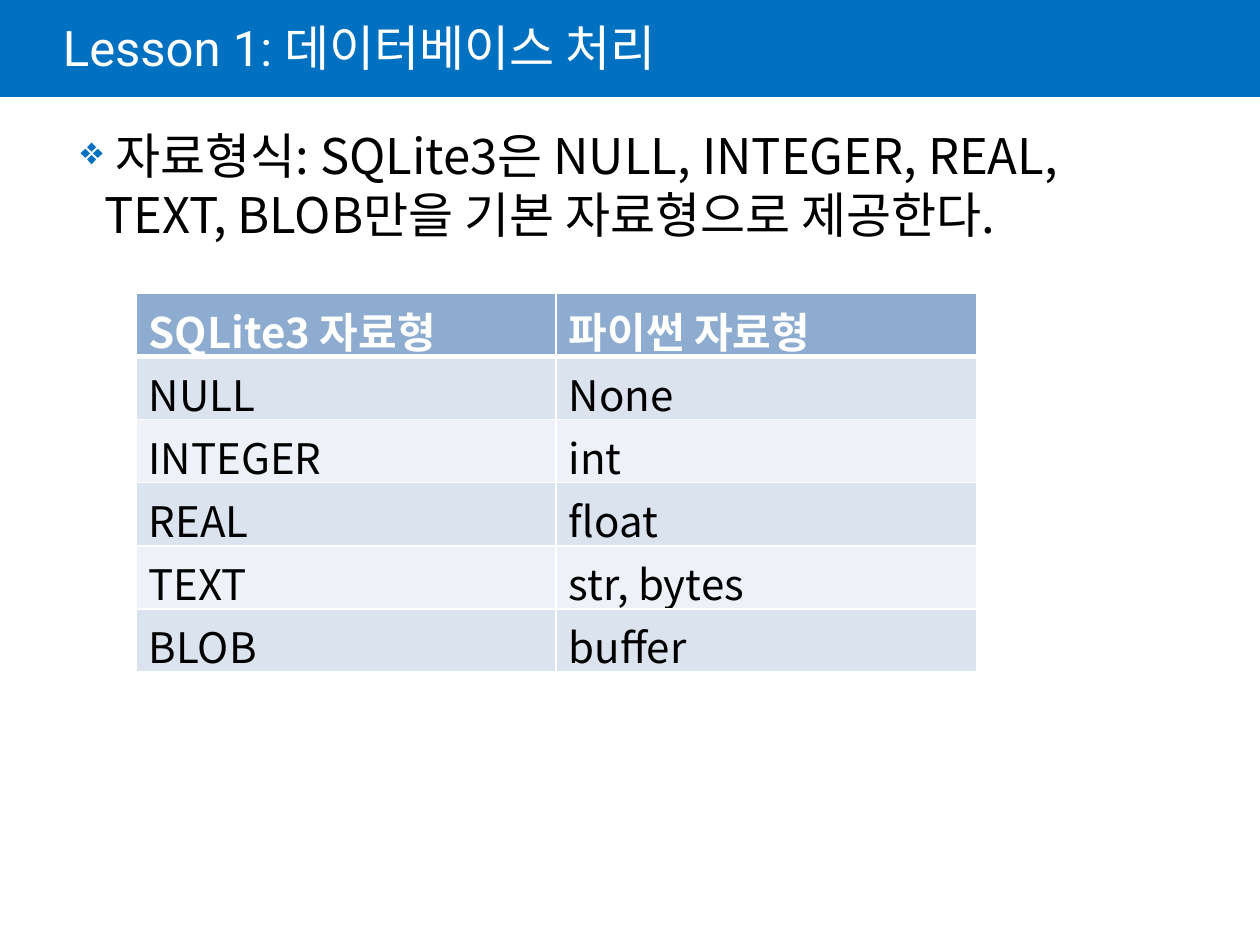
from dataclasses import dataclass

from lxml import etree
from pptx import Presentation
from pptx.dml.color import RGBColor
from pptx.enum.shapes import MSO_SHAPE
from pptx.enum.text import MSO_ANCHOR
from pptx.oxml.ns import qn
from pptx.util import Inches, Pt

RECT = MSO_SHAPE.RECTANGLE
MIDDLE = MSO_ANCHOR.MIDDLE


@dataclass(frozen=True)
class Theme:
    title_font: str = "Roboto"
    body_font: str = "Noto Sans CJK KR"
    text_size: int = 28
    table_size: int = 24
    accent: str = "0070C0"
    white: str = "FFFFFF"
    black: str = "000000"
    header_fill: str = "8DACD0"
    bands: tuple = ("DBE3EE", "EEF1F7")


THEME = Theme()

TYPE_ROWS = [
    ("SQLite3 자료형", "파이썬 자료형"),
    ("NULL", "None"),
    ("INTEGER", "int"),
    ("REAL", "float"),
    ("TEXT", "str, bytes"),
    ("BLOB", "buffer"),
]


def rgb(color):
    return RGBColor.from_string(color)


def add_run(p, text, font, size, color, bold=False):
    r = p.add_run()
    r.text = text
    r.font.name = font
    r.font.size = Pt(size)
    r.font.bold = bold
    r.font.color.rgb = rgb(color)
    # Hangul takes the East Asian typeface
    ea = etree.SubElement(r.font._element, qn("a:ea"))
    ea.set("typeface", THEME.body_font)


def add_bar(s, x, y, w, h):
    sp = s.shapes.add_shape(RECT, Inches(x), Inches(y), Inches(w), Inches(h))
    sp.shadow.inherit = False
    sp.fill.solid()
    sp.fill.fore_color.rgb = rgb(THEME.accent)
    sp.line.fill.background()


def add_text_box(s, x, y, w, h, insets):
    sp = s.shapes.add_textbox(Inches(x), Inches(y), Inches(w), Inches(h))
    tf = sp.text_frame
    tf.word_wrap = True
    tf.margin_left, tf.margin_top, tf.margin_right, tf.margin_bottom = map(Inches, insets)
    return tf


def add_bullet(p, char, color, percent, left, hanging):
    pPr = p._p.get_or_add_pPr()
    pPr.set("marL", str(Inches(left)))
    pPr.set("indent", str(-Inches(hanging)))
    clr = etree.SubElement(pPr, qn("a:buClr"))
    etree.SubElement(clr, qn("a:srgbClr")).set("val", color)
    etree.SubElement(pPr, qn("a:buSzPct")).set("val", str(percent * 1000))
    etree.SubElement(pPr, qn("a:buChar")).set("char", char)


def set_border(cell, side, width):
    ln = etree.SubElement(cell._tc.get_or_add_tcPr(), qn(f"a:ln{side}"))
    ln.set("w", str(Pt(width)))
    fill = etree.SubElement(ln, qn("a:solidFill"))
    etree.SubElement(fill, qn("a:srgbClr")).set("val", THEME.white)


def fill_cell(cell, text, row):
    header = row == 0
    # Header rule is thicker, on both cells that share it
    widths = {"L": 1, "R": 1, "T": 3 if row == 1 else 1, "B": 3 if header else 1}
    for side, width in widths.items():
        set_border(cell, side, width)
    cell.fill.solid()
    cell.fill.fore_color.rgb = rgb(THEME.header_fill if header else THEME.bands[(row - 1) % 2])
    add_run(cell.text_frame.paragraphs[0], text, THEME.body_font, THEME.table_size,
            THEME.white if header else THEME.black, bold=header)


def add_type_table(s, rows, x, y, w, h):
    table = s.shapes.add_table(len(rows), len(rows[0]), Inches(x), Inches(y),
                               Inches(w), Inches(h)).table
    for i, row in enumerate(rows):
        for j, text in enumerate(row):
            fill_cell(table.cell(i, j), text, i)


def main():
    prs = Presentation()
    prs.slide_width, prs.slide_height = Inches(10), Inches(7.5)
    s = prs.slides.add_slide(prs.slide_layouts[6])

    # Title bar
    add_bar(s, 0, 0, 10, 0.77)
    tf = add_text_box(s, 0.5, 0, 8.5, 0.81, (0, 0.05, 0.1, 0.05))
    tf.vertical_anchor = MIDDLE
    p = tf.paragraphs[0]
    p.line_spacing = 0.85
    add_run(p, "Lesson 1: 데이터베이스 처리", THEME.title_font, THEME.text_size, THEME.white)

    # Statement
    tf = add_text_box(s, 0.33, 1, 8.88, 5.63, (0, 0, 0, 0))
    p = tf.paragraphs[0]
    p.space_before = Pt(6)
    add_bullet(p, "❖", THEME.accent, 80, left=0.5, hanging=0.19)
    add_run(p, " 자료형식: SQLite3은 NULL, INTEGER, REAL, TEXT, BLOB만을 기본 자료형으로 제공한다.",
            THEME.body_font, THEME.text_size, THEME.black)

    # Type mapping
    add_type_table(s, TYPE_ROWS, 1.08, 2.33, 6.67, 3)

    prs.save("out.pptx")


if __name__ == "__main__":
    main()
